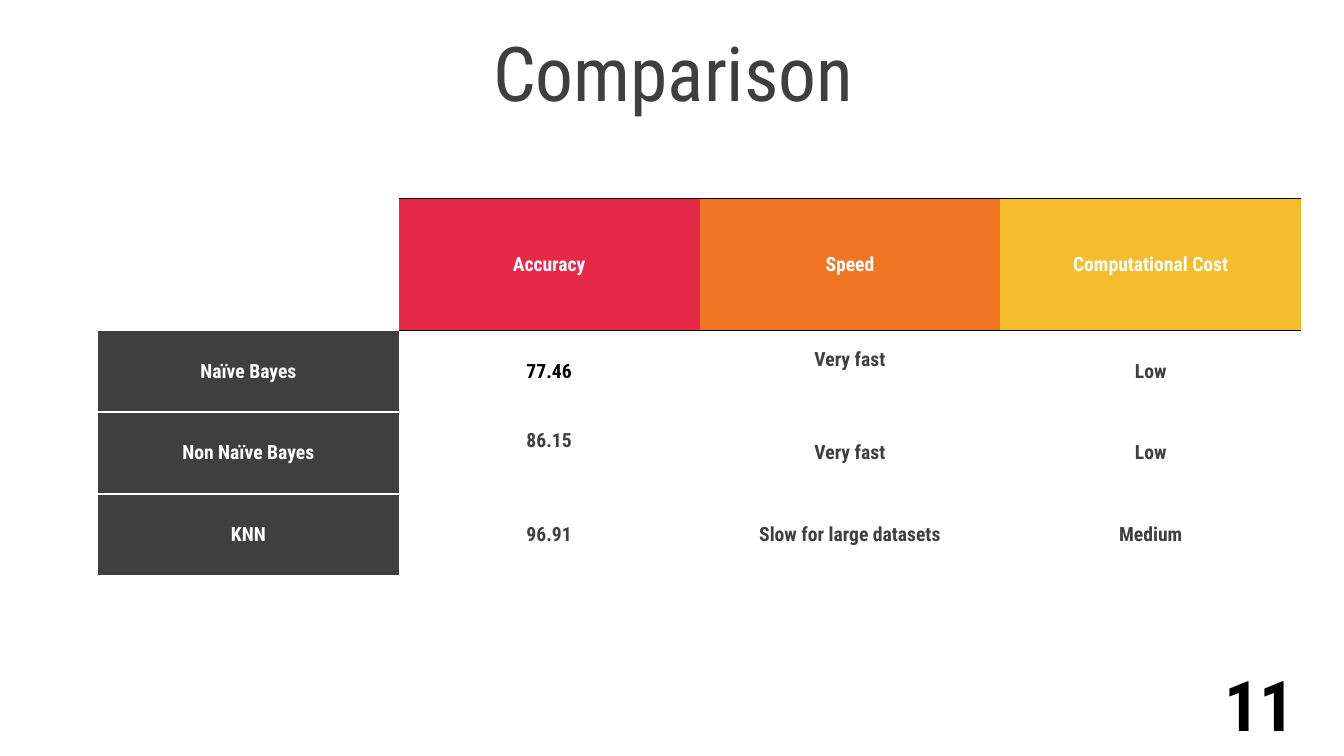
from lxml import etree
from pptx import Presentation
from pptx.dml.color import RGBColor
from pptx.enum.text import MSO_ANCHOR, PP_ALIGN
from pptx.oxml.ns import qn
from pptx.util import Cm, Pt

TITLE = "Comparison"
PAGE = "11"
ROWS = [
    ["", "Accuracy", "Speed", "Computational Cost"],
    ["Naïve Bayes", "77.46", "Very fast", "Low"],
    ["Non Naïve Bayes", "86.15", "Very fast", "Low"],
    ["KNN", "96.91", "Slow for large datasets", "Medium"],
]
HEADER_FILLS = [None, "E62949", "F07624", "F4BD2D"]
RAISED = {(1, 2), (2, 1)}
FONT = "Roboto Condensed"
DARK, WHITE, BLACK = "3F3F3F", "FFFFFF", "000000"
COL_W, HEADER_H, ROW_H = 7.58, 3.33, 2.06
CENTER, MIDDLE, TOP = PP_ALIGN.CENTER, MSO_ANCHOR.MIDDLE, MSO_ANCHOR.TOP


def rgb(value):
    return RGBColor.from_string(value)


def add_run(p, text, size, color, bold=False):
    r = p.add_run()
    r.text = text
    r.font.name = FONT
    r.font.size = Pt(size)
    r.font.bold = bold
    r.font.color.rgb = rgb(color)


def add_text(s, box, text, size, color, bold, anchor, pad):
    tf = s.shapes.add_textbox(*[Cm(v) for v in box]).text_frame
    tf.word_wrap = True
    tf.vertical_anchor = anchor
    tf.margin_top = tf.margin_bottom = Cm(pad)
    add_run(tf.paragraphs[0], text, size, color, bold)
    return tf.paragraphs[0]


def set_borders(cell, top, bottom):
    tc_pr = cell._tc.get_or_add_tcPr()
    sides = [("a:lnL", None), ("a:lnR", None), ("a:lnT", top), ("a:lnB", bottom)]
    for i, (tag, line) in enumerate(sides):
        ln = etree.Element(qn(tag))
        if line:
            color, width = line
            ln.set("w", str(Pt(width)))
            fill = etree.SubElement(ln, qn("a:solidFill"))
            etree.SubElement(fill, qn("a:srgbClr")).set("val", color)
        else:
            etree.SubElement(ln, qn("a:noFill"))
        tc_pr.insert(i, ln)


def cell_colors(row, col):
    if row == 0:
        return HEADER_FILLS[col], WHITE
    if col == 0:
        return DARK, WHITE
    return WHITE, BLACK if (row, col) == (1, 1) else DARK


def edge(index, col):
    if col and index < 2:
        return BLACK, 1
    return WHITE, 1.5


def add_comparison(s):
    height = HEADER_H + ROW_H * (len(ROWS) - 1)
    table = s.shapes.add_table(len(ROWS), len(ROWS[0]), Cm(2.47), Cm(5),
                               Cm(COL_W * len(ROWS[0])), Cm(height)).table
    table.first_row = table.horz_banding = False
    for column in table.columns:
        column.width = Cm(COL_W)
    for i, texts in enumerate(ROWS):
        table.rows[i].height = Cm(ROW_H if i else HEADER_H)
        for j, text in enumerate(texts):
            cell = table.cell(i, j)
            fill, color = cell_colors(i, j)
            if fill:
                cell.fill.solid()
                cell.fill.fore_color.rgb = rgb(fill)
            else:
                cell.fill.background()
            set_borders(cell, edge(i, j), edge(i + 1, j))
            cell.vertical_anchor = MIDDLE
            if (i, j) in RAISED:
                cell.margin_bottom = Cm(0.73)
            if text:
                p = cell.text_frame.paragraphs[0]
                p.alignment = CENTER
                add_run(p, text, 14, color, True)


def main():
    prs = Presentation()
    prs.slide_width, prs.slide_height = Cm(33.87), Cm(19.05)
    s = prs.slides.add_slide(prs.slide_layouts[6])
    p = add_text(s, (0.89, 0.94, 32.16, 2), TITLE, 54, DARK, False, MIDDLE, 0.13)
    p.alignment = CENTER
    p.line_spacing = 0.9
    add_comparison(s)
    add_text(s, (30.61, 16.41, 2.39, 2.21), PAGE, 50, BLACK, True, TOP, 0.25)
    prs.save("out.pptx")


if __name__ == "__main__":
    main()
